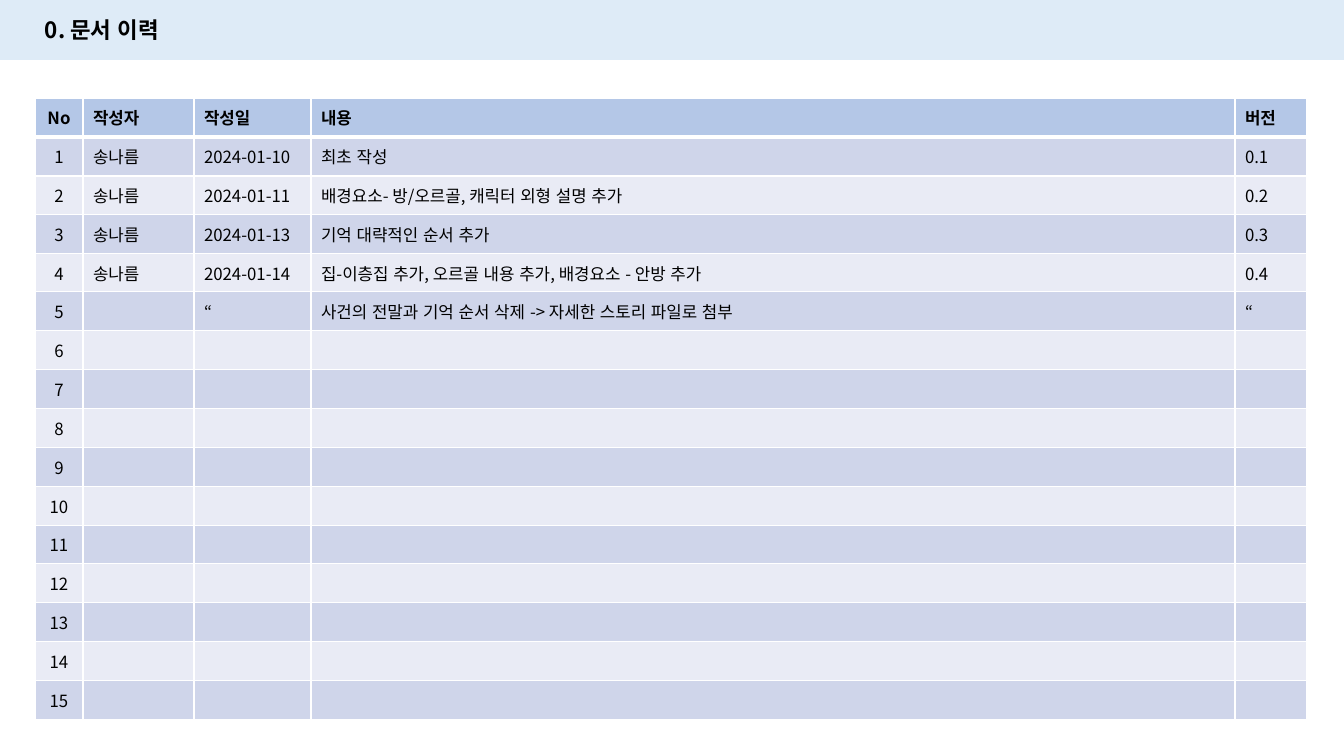
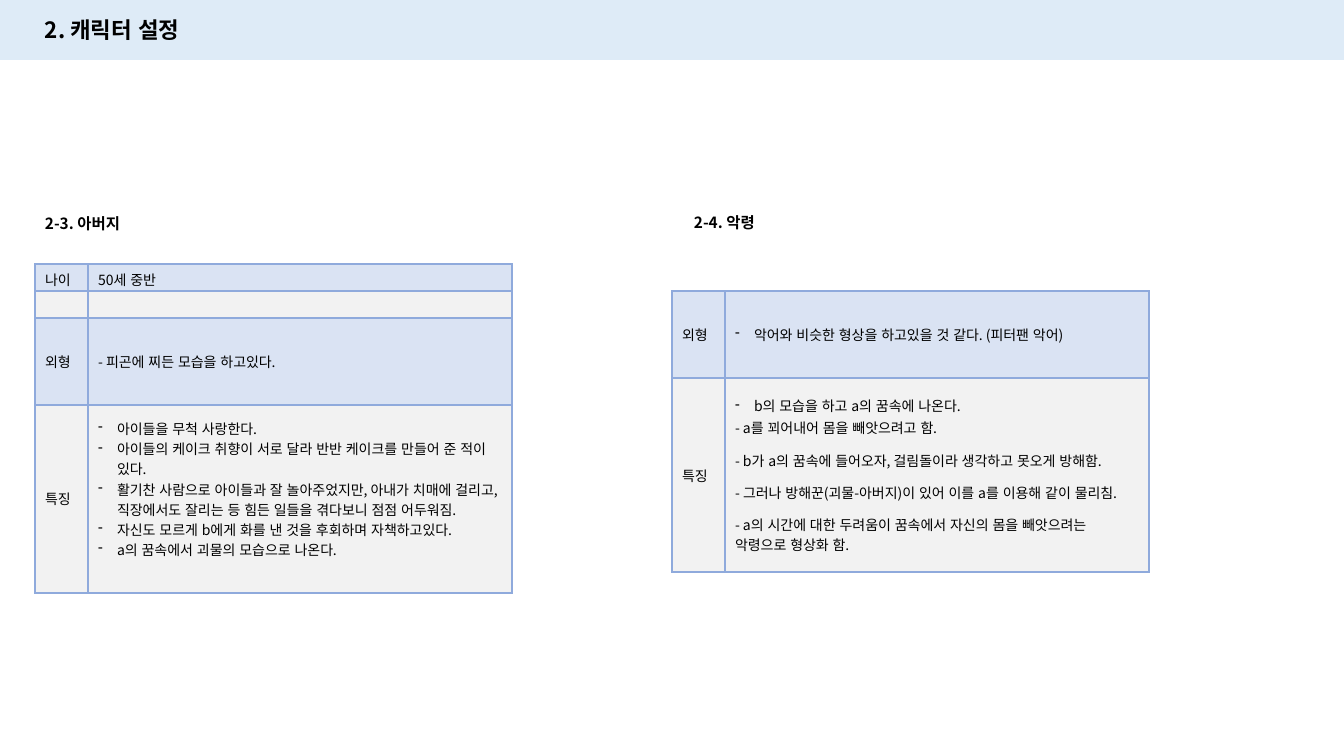
"""Build the document history and character setting slides."""
from dataclasses import dataclass

from lxml.etree import SubElement
from pptx import Presentation
from pptx.dml.color import RGBColor
from pptx.enum.lang import MSO_LANGUAGE_ID as Language
from pptx.enum.shapes import MSO_SHAPE as Shape
from pptx.enum.text import MSO_ANCHOR as Anchor, PP_ALIGN as Align
from pptx.oxml.ns import qn
from pptx.util import Pt

PX = 914400 / 100.8


@dataclass(frozen=True)
class Theme:
    font: str = "Noto Sans CJK KR"
    ink: str = "000000"
    band: str = "DEEBF7"
    history_head: str = "B4C7E7"
    history_rows: tuple = ("CFD5EA", "E9EBF5")
    history_line: str = "FFFFFF"
    profile_rows: tuple = ("DAE3F3", "F2F2F2")
    profile_line: str = "8FAADC"
    title_size: int = 16
    label_size: int = 11
    history_size: int = 12
    profile_size: int = 10


theme = Theme()


def write(frame, text, size, bold=False):
    frame.text = text
    frame.word_wrap = True
    for para in frame.paragraphs:
        for span in para.runs:
            span.font.name = theme.font
            span.font.size = Pt(size)
            span.font.bold = bold
            span.font.color.rgb = RGBColor.from_string(theme.ink)
            span.font.language_id = Language.KOREAN
            latin = span.font._element.find(qn("a:latin"))
            east_asian = latin.makeelement(qn("a:ea"), typeface=theme.font)
            latin.addnext(east_asian)
        if not para.runs:
            SubElement(para._p, qn("a:endParaRPr"), lang="ko-KR", sz=str(size * 100))


def draw_table(page, left, top, columns, heights, rows, fills, line, size, header=False):
    frame = page.shapes.add_table(
        len(rows), len(columns), round(left * PX), round(top * PX),
        round(sum(columns) * PX), round(sum(heights) * PX))
    table = frame.table
    table.first_row = table.horz_banding = False
    for column, width in zip(table.columns, columns):
        column.width = round(width * PX)
    for index, (row, height, texts, fill) in enumerate(zip(table.rows, heights, rows, fills)):
        row.height = round(height * PX)
        for cell, text in zip(row.cells, texts):
            properties = cell._tc.get_or_add_tcPr()
            for side in ("lnL", "lnR", "lnT", "lnB"):
                under_header = header and (index, side) in ((0, "lnB"), (1, "lnT"))
                border = SubElement(properties, qn(f"a:{side}"), w=str(Pt(3 if under_header else 1)))
                SubElement(SubElement(border, qn("a:solidFill")), qn("a:srgbClr"), val=line)
            cell.fill.solid()
            cell.fill.fore_color.rgb = RGBColor.from_string(fill)
            cell.vertical_anchor = Anchor.MIDDLE
            write(cell.text_frame, text, size, header and index == 0)
    return table


deck = Presentation()
deck.slide_width = round(1344 * PX)
deck.slide_height = round(756 * PX)

page_texts = [
    [("0. 문서 이력", 35, 11, 37, theme.title_size)],
    [("2. 캐릭터 설정", 35, 11, 37, theme.title_size),
     ("2-3. 아버지", 35, 209, 29, theme.label_size),
     ("2-4. 악령", 684, 208, 29, theme.label_size)],
]
for texts in page_texts:
    page = deck.slides.add_slide(deck.slide_layouts[6])
    band = page.shapes.add_shape(Shape.RECTANGLE, 0, 0, deck.slide_width, round(60 * PX))
    band.shadow.inherit = False
    band.fill.solid()
    band.fill.fore_color.rgb = RGBColor.from_string(theme.band)
    band.line.fill.background()
    for text, left, top, height, size in texts:
        box = page.shapes.add_textbox(
            round(left * PX), round(top * PX), round(213 * PX), round(height * PX))
        box.text_frame.vertical_anchor = Anchor.MIDDLE
        write(box.text_frame, text, size, bold=True)

history_page, character_page = deck.slides

entries = [
    ("송나름", "2024-01-10", "최초 작성", "0.1"),
    ("송나름", "2024-01-11", "배경요소- 방/오르골, 캐릭터 외형 설명 추가", "0.2"),
    ("송나름", "2024-01-13", "기억 대략적인 순서 추가", "0.3"),
    ("송나름", "2024-01-14", "집-이층집 추가, 오르골 내용 추가, 배경요소 - 안방 추가", "0.4"),
    ("", "“", "사건의 전말과 기억 순서 삭제 -> 자세한 스토리 파일로 첨부", "“"),
]
entries += [("",) * 4] * (15 - len(entries))
history_rows = [("No", "작성자", "작성일", "내용", "버전")]
history_rows += [(str(number), *entry) for number, entry in enumerate(entries, 1)]
row_edges = [round(622 * index / 16) for index in range(17)]
history = draw_table(
    history_page, 35, 98, [48, 111, 117, 924, 72],
    [end - start for start, end in zip(row_edges, row_edges[1:])], history_rows,
    [theme.history_head] + [theme.history_rows[index % 2] for index in range(15)],
    theme.history_line, theme.history_size, header=True)
for row in history.rows:
    row.cells[0].text_frame.paragraphs[0].alignment = Align.CENTER

father_traits = [
    "아이들을 무척 사랑한다.",
    "아이들의 케이크 취향이 서로 달라 반반 케이크를 만들어 준 적이 있다.",
    "활기찬 사람으로 아이들과 잘 놀아주었지만, 아내가 치매에 걸리고, "
    "직장에서도 잘리는 등 힘든 일들을 겪다보니 점점 어두워짐.",
    "자신도 모르게 b에게 화를 낸 것을 후회하며 자책하고있다.",
    "a의 꿈속에서 괴물의 모습으로 나온다.",
]
spirit_traits = [
    "b의 모습을 하고 a의 꿈속에 나온다.",
    "- a를 꾀어내어 몸을 빼앗으려고 함.",
    "- b가 a의 꿈속에 들어오자, 걸림돌이라 생각하고 못오게 방해함.",
    "- 그러나 방해꾼(괴물-아버지)이 있어 이를 a를 이용해 같이 물리침.",
    "- a의 시간에 대한 두려움이 꿈속에서 자신의 몸을 빼앗으려는 악령으로 형상화 함.",
]
father_rows = [
    ("나이", "50세 중반"),
    ("", ""),
    ("외형", "- 피곤에 찌든 모습을 하고있다."),
    ("특징", "\n".join(father_traits)),
]
spirit_rows = [
    ("외형", "악어와 비슷한 형상을 하고있을 것 같다. (피터팬 악어)"),
    ("특징", "\n".join(spirit_traits)),
]
profiles = [
    (35, 264, [27, 27, 87, 188], father_rows),
    (672, 291, [87, 194], spirit_rows),
]
father, spirit = [
    draw_table(character_page, left, top, [53, 424], heights, rows,
               theme.profile_rows * 2, theme.profile_line, theme.profile_size)
    for left, top, heights, rows in profiles
]

for index in range(2):
    for cell in father.rows[index].cells:
        cell.margin_bottom = round(2 * PX)
father.cell(3, 1).margin_bottom = round(25 * PX)

spirit_paras = spirit.cell(1, 1).text_frame.paragraphs
for para in spirit_paras[1:4]:
    para.alignment = Align.JUSTIFY
    para.line_spacing = 1.07
    para.space_after = Pt(8)

bulleted = [
    *father.cell(3, 1).text_frame.paragraphs,
    *spirit.cell(0, 1).text_frame.paragraphs,
    spirit_paras[0],
]
for para in bulleted:
    properties = para._p.get_or_add_pPr()
    properties.set("marL", str(round(19 * PX)))
    properties.set("indent", str(round(-19 * PX)))
    SubElement(properties, qn("a:buChar"), char="-")

deck.save("out.pptx")
